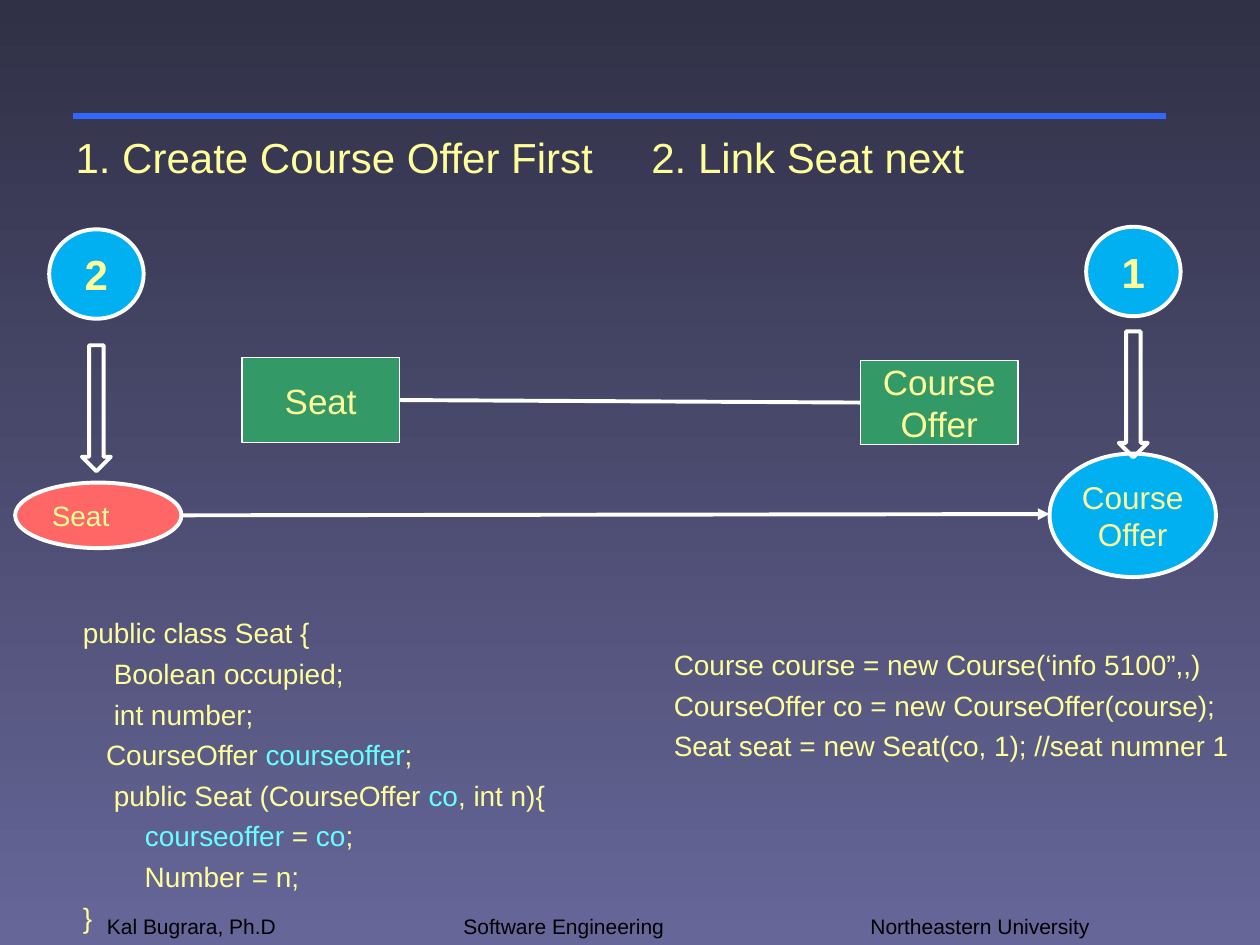
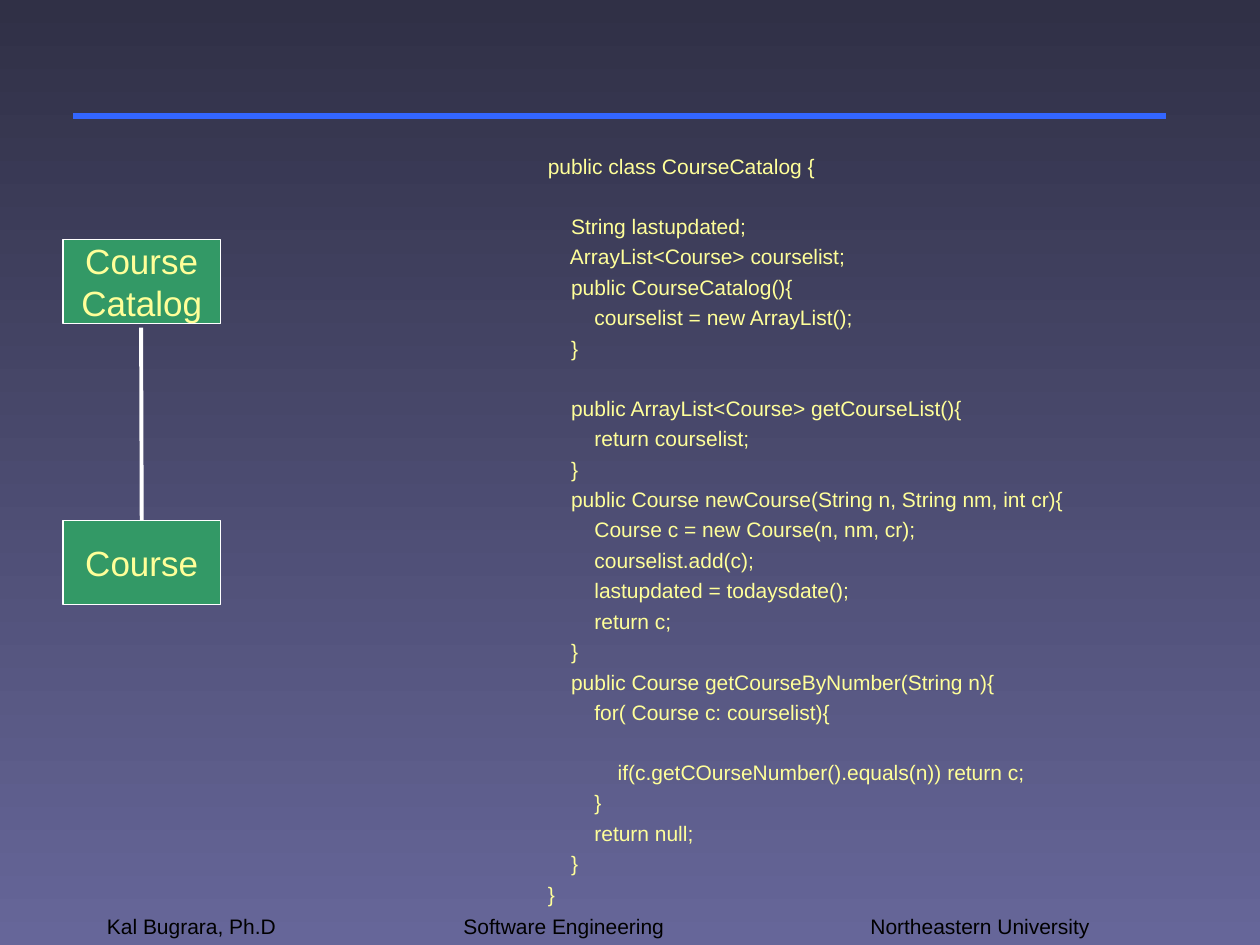
from dataclasses import dataclass

from lxml import etree
from pptx import Presentation
from pptx.dml.color import RGBColor
from pptx.enum.shapes import MSO_CONNECTOR, MSO_SHAPE
from pptx.enum.text import MSO_ANCHOR, MSO_AUTO_SIZE, PP_ALIGN
from pptx.oxml.ns import qn
from pptx.util import Inches, Pt

RECTANGLE, OVAL, DOWN_ARROW = MSO_SHAPE.RECTANGLE, MSO_SHAPE.OVAL, MSO_SHAPE.DOWN_ARROW
STRAIGHT = MSO_CONNECTOR.STRAIGHT
LEFT, CENTER = PP_ALIGN.LEFT, PP_ALIGN.CENTER
TOP, MIDDLE, BOTTOM = MSO_ANCHOR.TOP, MSO_ANCHOR.MIDDLE, MSO_ANCHOR.BOTTOM
NO_AUTOFIT = MSO_AUTO_SIZE.NONE
LEFT_SIDE, RIGHT_SIDE, TOP_SIDE = 1, 3, 0
TITLE_ONLY, BLANK = 5, 6


@dataclass(frozen=True)
class Theme:
    font: str = "Arial"
    sky_top: str = "303046"
    sky_bottom: str = "666699"
    rule: str = "3366FF"
    text: str = "FFFF99"
    highlight: str = "66FFFF"
    footer: str = "000000"
    outline: str = "FFFFFF"
    class_box: str = "339966"
    offer: str = "00B0F0"
    seat: str = "FF6666"
    title_size: int = 24
    class_size: int = 20
    object_size: int = 18
    code_size: int = 16
    small_size: int = 12
    thin: float = 0.75
    medium: float = 2.25
    thick: float = 3


THEME = Theme()

SEAT_CODE = """public class Seat {
    Boolean occupied;
    int number;
   CourseOffer |courseoffer|;
    public Seat (CourseOffer |co|, int n){
        |courseoffer| = |co|;
        Number = n;
}"""

LINKING_CODE = """Course course = new Course(‘info 5100”,,)
CourseOffer co = new CourseOffer(course);
Seat seat = new Seat(co, 1); //seat numner 1"""

CATALOG_CODE = """public class CourseCatalog {

    String lastupdated;
    ArrayList<Course> courselist;
    public CourseCatalog(){
        courselist = new ArrayList();
    }

    public ArrayList<Course> getCourseList(){
        return courselist;
    }
    public Course newCourse(String n, String nm, int cr){
        Course c = new Course(n, nm, cr);
        courselist.add(c);
        lastupdated = todaysdate();
        return c;
    }
    public Course getCourseByNumber(String n){
        for( Course c: courselist){

            if(c.getCOurseNumber().equals(n)) return c;
        }
        return null;
    }
}"""


def color(value):
    return RGBColor.from_string(value)


def inches(*lengths):
    return [Inches(length) for length in lengths]


def add_tab_stop(paragraph, position):
    tabs = etree.SubElement(paragraph._p.get_or_add_pPr(), qn("a:tabLst"))
    etree.SubElement(tabs, qn("a:tab"), pos=str(Inches(position)), algn="l")


def write(frame, text, size=THEME.code_size, ink=THEME.text, bold=False,
          align=LEFT, anchor=TOP, tab=None, margins=(0.1, 0.05)):
    """Write lines of text; parts between bars take the highlight colour."""
    frame.word_wrap = True
    frame.auto_size = NO_AUTOFIT
    frame.vertical_anchor = anchor
    frame.margin_left = frame.margin_right = Inches(margins[0])
    frame.margin_top = frame.margin_bottom = Inches(margins[1])
    spacing = size / 4
    gap = 0
    paragraph = None
    for line in text.split("\n"):
        if not line:  # an empty code line becomes space before the next one
            gap = spacing + size * 1.15
            continue
        first = paragraph is None
        paragraph = frame.paragraphs[0] if first else frame.add_paragraph()
        if tab:
            add_tab_stop(paragraph, tab)
        paragraph.alignment = align
        paragraph.space_before = Pt(0 if first else spacing + gap)
        gap = 0
        for index, part in enumerate(line.split("|")):
            if not part:
                continue
            run = paragraph.add_run()
            run.text = part
            run.font.name = THEME.font
            run.font.size = Pt(size)
            run.font.bold = bold
            run.font.color.rgb = color(THEME.highlight if index % 2 else ink)


def add_text(slide, box, text, **text_format):
    write(slide.shapes.add_textbox(*inches(*box)).text_frame, text, **text_format)


def add_node(slide, kind, box, fill=None, width=THEME.medium, text=None, **text_format):
    node = slide.shapes.add_shape(kind, *inches(*box))
    node.shadow.inherit = False
    if fill:
        node.fill.solid()
        node.fill.fore_color.rgb = color(fill)
    else:
        node.fill.background()
    node.line.color.rgb = color(THEME.outline)
    node.line.width = Pt(width)
    if text:
        layout = {"align": CENTER, "anchor": MIDDLE, "margins": (0, 0)}
        write(node.text_frame, text, **{**layout, **text_format})
    return node


def add_class_box(slide, left, top, name):
    return add_node(slide, RECTANGLE, (left, top, 1.25, 0.67), THEME.class_box,
                    THEME.thin, name, size=THEME.class_size)


def add_step(slide, left, top, number, arrow_top):
    """A numbered circle with a block arrow below it."""
    add_node(slide, OVAL, (left, top, 0.75, 0.71), THEME.offer, text=number,
             size=THEME.title_size, bold=True)
    add_node(slide, DOWN_ARROW, (left + 0.26, arrow_top, 0.23, 1))


def add_line(slide, start, end, ink=THEME.outline, width=THEME.medium, arrow=False):
    line = slide.shapes.add_connector(STRAIGHT, *inches(*start, *end))
    line.line.color.rgb = color(ink)
    line.line.width = Pt(width)
    if arrow:
        etree.SubElement(line.line._get_or_add_ln(), qn("a:tailEnd"), type="triangle")
    etree.SubElement(line._element.spPr, qn("a:effectLst"))
    return line


def set_background(master):
    fill = master.background.fill
    fill.gradient()
    fill.gradient_angle = 270
    for stop, shade in zip(fill.gradient_stops, (THEME.sky_top, THEME.sky_bottom)):
        stop.color.rgb = color(shade)


def start_slide(prs, layout):
    """New slide with the shared rule and footer."""
    slide = prs.slides.add_slide(prs.slide_layouts[layout])
    add_line(slide, (0.58, 0.92), (9.25, 0.92), THEME.rule, THEME.thick)
    footer = {"size": THEME.small_size, "ink": THEME.footer, "anchor": BOTTOM}
    add_text(slide, (0.75, 7, 2.08, 0.5), "Kal Bugrara, Ph.D", **footer)
    add_text(slide, (3.58, 7, 5.59, 0.5),
             "Software Engineering\tNortheastern University", tab=3.23, **footer)
    return slide


def set_title(slide, box, text, **text_format):
    title = slide.shapes.title
    title.left, title.top, title.width, title.height = inches(*box)
    write(title.text_frame, text, size=THEME.title_size, **text_format)


def build_linking_slide(prs):
    slide = start_slide(prs, TITLE_ONLY)
    set_title(slide, (0.5, 0.99, 9, 0.5),
              "1. Create Course Offer First\t2. Link Seat next", tab=4.57)

    # Class diagram
    seat_class = add_class_box(slide, 1.92, 2.84, "Seat")
    offer_class = add_class_box(slide, 6.83, 2.86, "Course Offer")
    association = add_line(slide, (3.17, 3.18), (6.83, 3.2))
    association.begin_connect(seat_class, RIGHT_SIDE)
    association.end_connect(offer_class, LEFT_SIDE)

    # Objects, with the order in which they are made
    add_node(slide, OVAL, (8.33, 3.6, 1.32, 0.98), THEME.offer,
             text="Course Offer", size=THEME.object_size)
    add_node(slide, OVAL, (0.12, 3.83, 1.32, 0.52), THEME.seat,
             text="Seat", align=LEFT, margins=(0.1, 0))
    add_step(slide, 8.62, 1.8, "1", 2.63)
    add_step(slide, 0.39, 1.82, "2", 2.74)
    add_line(slide, (1.44, 4.09), (8.33, 4.08), arrow=True)

    # Code
    add_text(slide, (0.56, 4.84, 4.6, 2.63), SEAT_CODE)
    add_text(slide, (5.25, 5.09, 4.7, 1.02), LINKING_CODE)


def build_catalog_slide(prs):
    slide = start_slide(prs, BLANK)
    add_text(slide, (4.25, 1.17, 5.5, 6.12), CATALOG_CODE, size=THEME.small_size)

    # Class diagram
    add_class_box(slide, 0.5, 1.9, "Course Catalog")
    course_class = add_class_box(slide, 0.5, 4.13, "Course")
    association = add_line(slide, (1.12, 2.6), (1.12, 4.13))
    association.end_connect(course_class, TOP_SIDE)


def main():
    prs = Presentation()
    prs.slide_width, prs.slide_height = inches(10, 7.5)
    set_background(prs.slide_master)
    build_linking_slide(prs)
    build_catalog_slide(prs)
    prs.save("out.pptx")


if __name__ == "__main__":
    main()
